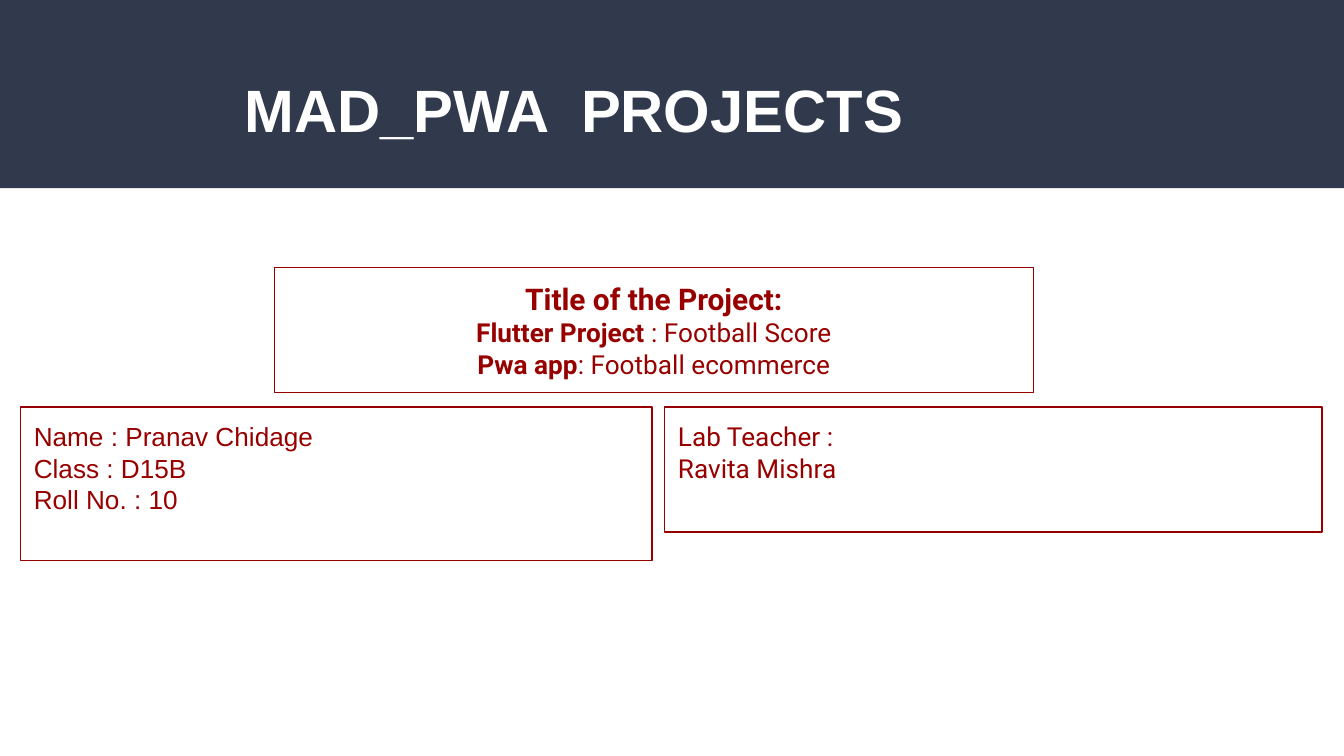
from dataclasses import dataclass

from pptx import Presentation
from pptx.dml.color import RGBColor
from pptx.enum.shapes import MSO_SHAPE
from pptx.enum.text import MSO_ANCHOR, PP_ALIGN
from pptx.util import Inches, Pt

RECT = MSO_SHAPE.RECTANGLE
TOP = MSO_ANCHOR.TOP
LEFT, CENTER = PP_ALIGN.LEFT, PP_ALIGN.CENTER
CELL = 0.1  # side of a grid cell in inches
COLS, ROWS = 100, 56.25  # 16:9
NAVY, RED, WHITE = "31394D", "980000", "FFFFFF"


@dataclass(frozen=True)
class Area:
    col: float
    row: float
    cols: float
    rows: float

    def box(self) -> list[int]:
        """Left, top, width and height as slide lengths."""
        return [Inches(n * CELL) for n in (self.col, self.row, self.cols, self.rows)]


@dataclass(frozen=True)
class Part:
    text: str
    bold: bool = False
    size: float = 14


@dataclass(frozen=True)
class Card:
    area: Area
    lines: list[list[Part]]
    font: str = "Roboto"
    align: PP_ALIGN = LEFT


CARDS = [
    Card(Area(1.53, 30.3, 47, 11.4),
         [[Part("Name : Pranav Chidage")], [Part("Class : D15B")], [Part("Roll No. : 10")]],
         font="Arial"),
    Card(Area(49.46, 30.3, 48.9, 9.3),
         [[Part("Lab Teacher :")], [Part("Ravita Mishra")]]),
    Card(Area(20.4, 19.9, 56.5, 9.3),
         [[Part("Title of the Project:", True, 16)],
          [Part("Flutter Project ", True), Part(": Football Score")],
          [Part("Pwa app", True), Part(": Football ecommerce")]],
         align=CENTER),
]


def color(code: str) -> RGBColor:
    return RGBColor.from_string(code)


def style(run, font: str, size: float, bold: bool, code: str) -> None:
    run.font.name = font
    run.font.size = Pt(size)
    run.font.bold = bold
    run.font.color.rgb = color(code)


def pad(frame, side: float, end: float) -> None:
    """Set the insets at the sides and at the top and bottom, in inches."""
    frame.margin_left = frame.margin_right = Inches(side)
    frame.margin_top = frame.margin_bottom = Inches(end)
    frame.vertical_anchor = TOP
    frame.word_wrap = True


def add_band(slide) -> None:
    band = slide.shapes.add_shape(RECT, *Area(0, 0, COLS, 14).box())
    band.shadow.inherit = False
    band.fill.solid()
    band.fill.fore_color.rgb = color(NAVY)
    band.line.fill.background()


def set_title(slide, text: str) -> None:
    title = slide.shapes.title
    title.left, title.top, title.width, title.height = Area(17.2, 4.9, 57.6, 6.4).box()
    frame = title.text_frame
    frame.text = text
    pad(frame, 0.1, 0.05)
    line = frame.paragraphs[0]
    line.alignment = LEFT
    style(line.runs[0], "Arial", 32, True, WHITE)
    slide.shapes._spTree.append(title._element)  # bring in front of the band


def add_card(slide, card: Card) -> None:
    shape = slide.shapes.add_shape(RECT, *card.area.box())
    shape.shadow.inherit = False
    shape.fill.background()
    shape.line.color.rgb = color(RED)
    shape.line.width = Pt(0.75)
    frame = shape.text_frame
    pad(frame, 0.1, 0.1)
    for i, parts in enumerate(card.lines):
        line = frame.add_paragraph() if i else frame.paragraphs[0]
        line.alignment = card.align
        for part in parts:
            run = line.add_run()
            run.text = part.text
            style(run, card.font, part.size, part.bold, RED)


def main() -> None:
    deck = Presentation()
    deck.slide_width = Inches(COLS * CELL)
    deck.slide_height = Inches(ROWS * CELL)
    slide = deck.slides.add_slide(deck.slide_layouts.get_by_name("Title Only"))
    add_band(slide)
    for card in CARDS:
        add_card(slide, card)
    set_title(slide, "MAD_PWA  PROJECTS")
    deck.save("out.pptx")


if __name__ == "__main__":
    main()
